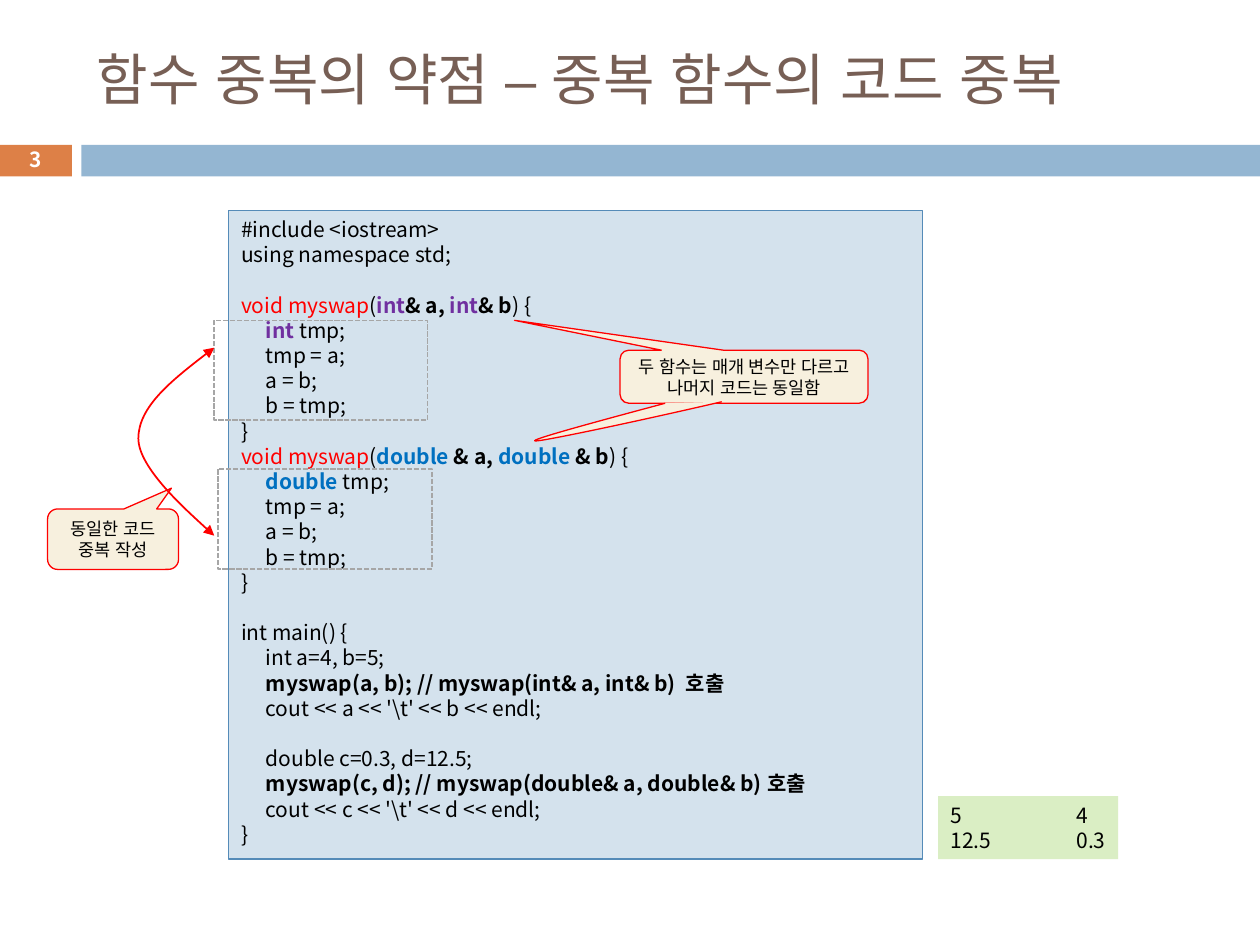
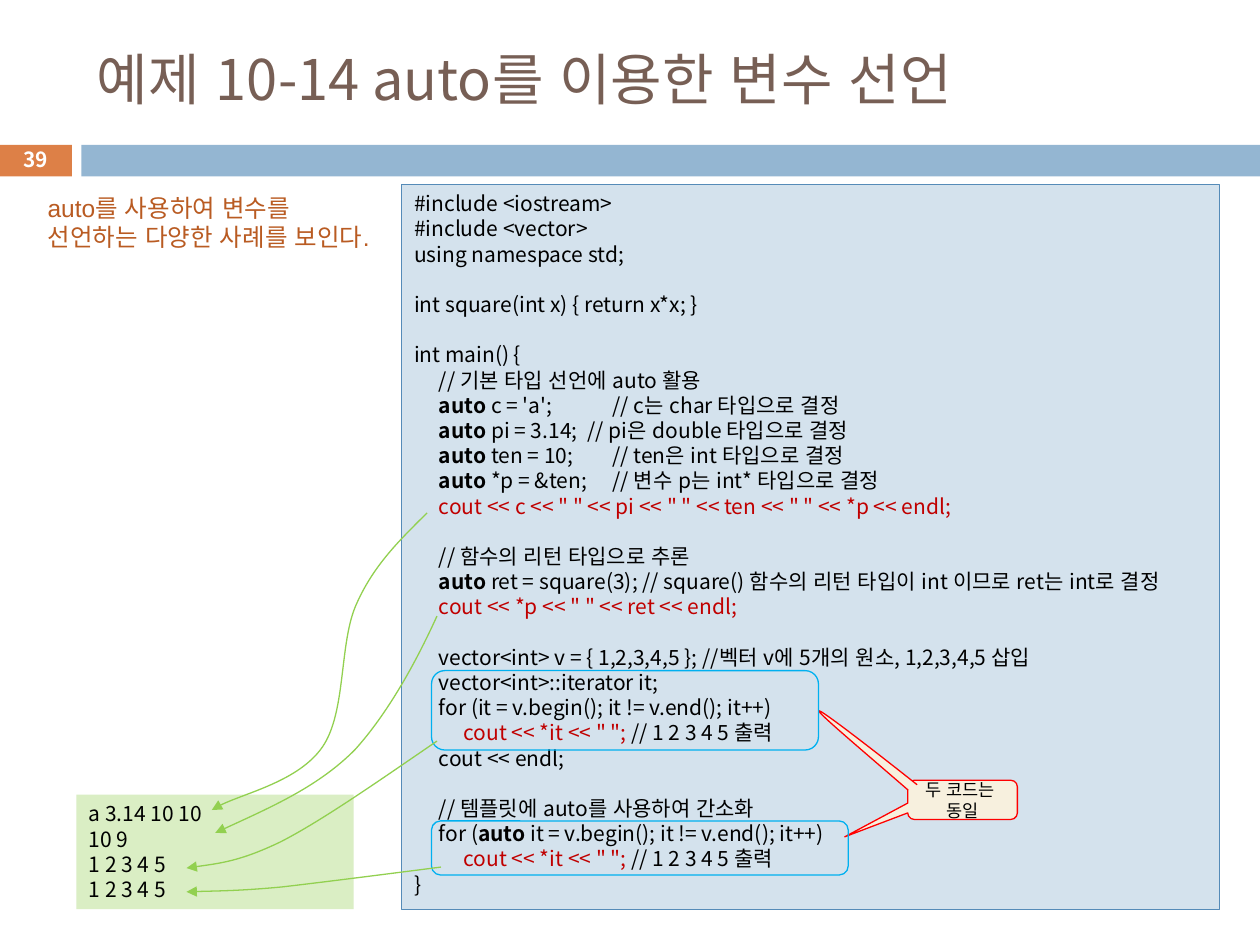
"""Build two lecture slides on C++ function overloading and auto."""
from lxml.etree import SubElement
from pptx import Presentation
from pptx.dml.color import RGBColor
from pptx.enum.dml import MSO_LINE
from pptx.enum.shapes import MSO_SHAPE
from pptx.enum.text import MSO_ANCHOR, MSO_AUTO_SIZE, PP_ALIGN
from pptx.oxml.ns import qn
from pptx.util import Cm, Pt

FONT, EAST_FONT = "Noto Sans CJK KR", "Arial"
LEADING = 1.2
BLACK, WHITE, RED, GREEN = "000000", "FFFFFF", "FF0000", "92D050"
ORANGE, BLUE, BROWN, RUST = "DD8047", "94B6D2", "775F55", "B95B22"
CODE_FILL, CODE_LINE, NOTE, RESULT = "D4E2ED", "558BB8", "F7F0DE", "DAEEC4"
GRAY, CYAN = "A6A6A6", "00B0F0"
CODE_TABS = [0.5 * n for n in range(1, 13)]
RESULT_TABS = [2.54]

NAME = ("void myswap", RED)
INT, DOUBLE = "7030A0", "0070C0"
SWAP_REST = ["\ttmp = a;", "\ta = b;", "\tb = tmp;", "}"]
SWAP_CODE = [
    "#include <iostream>",
    "using namespace std;",
    "",
    [NAME, "(", ("int", INT, True), ("& a, ", BLACK, True), ("int", INT, True),
     ("& b", BLACK, True), ") {"],
    ["\t", ("int ", INT, True), "tmp;"],
    *SWAP_REST,
    [NAME, "(", ("double ", DOUBLE, True), ("& a, ", BLACK, True),
     ("double", DOUBLE, True), (" & b", BLACK, True), ") {"],
    ["\t", ("double ", DOUBLE, True), "tmp;"],
    *SWAP_REST,
    "",
    "int main() {",
    "\tint a=4, b=5;",
    ["\t", ("myswap(a, b); // myswap(int& a, int& b)  호출", BLACK, True)],
    "\tcout << a << '\\t' << b << endl;",
    "",
    "\tdouble c=0.3, d=12.5;",
    ["\t", ("myswap(c, d); // myswap(double& a, double& b) 호출", BLACK, True)],
    "\tcout << c << '\\t' << d << endl;",
    "}",
]

AUTO = ("auto ", BLACK, True)
PRINT = "C00000"
PRINT_ITEM = ["\t\t", ('cout << *it << " "; ', PRINT), "// 1 2 3 4 5 출력"]
AUTO_CODE = [
    "#include <iostream>",
    "#include <vector>",
    "using namespace std;",
    "",
    "int square(int x) { return x*x; }",
    "",
    "int main() {",
    "\t// 기본 타입 선언에 auto 활용",
    ["\t", AUTO, "c = 'a'; \t\t\t// c는 char 타입으로 결정"],
    ["\t", AUTO, "pi = 3.14; \t// pi은 double 타입으로 결정"],
    ["\t", AUTO, "ten = 10; \t\t// ten은 int 타입으로 결정"],
    ["\t", AUTO, "*p = &ten; \t// 변수 p는 int* 타입으로 결정"],
    ["\t", ('cout << c << " " << pi << " " << ten << " " << *p << endl;', PRINT)],
    "",
    "\t// 함수의 리턴 타입으로 추론",
    ["\t", AUTO, "ret = square(3); // square() 함수의 리턴 타입이 int 이므로 ret는 int로 결정"],
    ["\t", ('cout << *p << " " << ret << endl;', PRINT)],
    "",
    "\tvector<int> v = { 1,2,3,4,5 }; //벡터 v에 5개의 원소, 1,2,3,4,5 삽입",
    "\tvector<int>::iterator it;",
    "\tfor (it = v.begin(); it != v.end(); it++)",
    PRINT_ITEM,
    "\tcout << endl;",
    "",
    "\t// 템플릿에 auto를 사용하여 간소화",
    ["\tfor (", ("auto", BLACK, True), " it = v.begin(); it != v.end(); it++)"],
    PRINT_ITEM,
    "}",
]

SLIDES = [
    dict(
        title="함수 중복의 약점 – 중복 함수의 코드 중복", number="3",
        code=((4.61, 4.24, 13.99, 13.08), SWAP_CODE),
        notes=[
            ((12.5, 7.06, 5, 1.07), (-0.925, -1.062),
             ["두 함수는 매개 변수만 다르고 나머지 코드는 동일함"]),
            ((0.96, 10.26, 2.64, 1.22), (0.446, -0.843), ["동일한 코드 중복 작성"]),
        ],
        pointer=[(13.41, 8.13), (11.99, 8.51), (10.59, 8.89), (10.8, 8.89),
                 (10.97, 8.89), (12.78, 8.51), (14.55, 8.1)],
        frames=[(4.32, 6.46, 4.3, 2.01), (4.39, 9.46, 4.32, 2.01)],
        frame_style=(MSO_SHAPE.RECTANGLE, GRAY, 1, MSO_LINE.SQUARE_DOT),
        result=((18.91, 16.05, 3.63, 1.27), ["5 \t4", "12.5\t0.3"]),
        arrow_style=(RED, 1, ("headEnd", "tailEnd")),
        arrows=[[(4.32, 7.01), (3.56, 7.59), (2.79, 8.2), (2.79, 8.84),
                 (2.79, 9.45), (4.32, 10.8), (4.32, 10.8)]],
    ),
    dict(
        title="예제 10-14 auto를 이용한 변수 선언", number="39",
        intro=((0.71, 3.76, 7.01, 1.45), "auto를 사용하여 변수를 선언하는 다양한 사례를 보인다."),
        code=((8.1, 3.72, 16.48, 14.62), AUTO_CODE),
        notes=[((18.3, 15.73, 2.21, 0.79), (-1.075, 0.944), ["두 코드는 ", "동일"])],
        pointer=[(18.31, 15.93), (17.4, 15.14), (16.46, 14.35), (16.51, 14.33),
                 (16.54, 14.3), (17.53, 15.06), (18.49, 15.82)],
        frames=[(8.7, 13.52, 7.8, 1.6), (8.7, 16.55, 8.4, 1.09)],
        frame_style=(MSO_SHAPE.ROUNDED_RECTANGLE, CYAN, 0.75, None),
        result=((1.54, 16.02, 5.59, 2.31),
                ["a 3.14 10 10", "10 9", "1 2 3 4 5", "1 2 3 4 5"]),
        arrow_style=(GREEN, 0.75, ("tailEnd",)),
        arrows=[
            [(8.61, 10.34), (8.08, 10.87), (7.54, 11.38), (7.19, 12.17), (6.83, 12.95),
             (6.99, 14.35), (6.5, 15.06), (6.02, 15.75), (4.67, 16.05), (4.27, 16.33)],
            [(8.81, 12.42), (8.36, 13.41), (7.8, 14.4), (7.16, 15.11), (6.43, 15.85),
             (5.38, 16.31), (4.34, 16.79)],
            [(8.81, 14.94), (7.67, 15.72), (6.5, 16.54), (5.66, 16.97), (4.83, 17.37),
             (4.29, 17.42), (3.76, 17.5)],
            [(8.89, 17.48), (7.72, 17.63), (6.55, 17.78), (5.69, 17.88), (4.83, 17.96),
             (4.29, 17.96), (3.76, 17.98)],
        ],
    ),
]


def rgb(color):
    """Turn a hex string into a colour."""
    return RGBColor.from_string(color)


def paint(sp, fill=None, line=None, width=0.75, dash=None):
    """Set the fill and outline of a shape and drop its shadow."""
    sp.shadow.inherit = False
    if fill:
        sp.fill.solid()
        sp.fill.fore_color.rgb = rgb(fill)
    else:
        sp.fill.background()
    if line:
        sp.line.color.rgb = rgb(line)
        sp.line.width = Pt(width)
        sp.line.dash_style = dash
    else:
        sp.line.fill.background()


def add_box(s, place, kind=MSO_SHAPE.RECTANGLE, **style):
    """Add a painted preset shape placed in centimetres."""
    sp = s.shapes.add_shape(kind, *map(Cm, place))
    paint(sp, **style)
    return sp


def write(sp, lines, size, color=BLACK, bold=False, align=PP_ALIGN.LEFT,
          anchor=MSO_ANCHOR.MIDDLE, font=FONT, tabs=()):
    """Write lines of runs; an empty line becomes space before the next."""
    tf = sp.text_frame
    tf.word_wrap = True
    tf.auto_size = MSO_AUTO_SIZE.NONE
    tf.vertical_anchor = anchor
    if align == PP_ALIGN.LEFT:
        tf.margin_right = 0
    leading, gap, p = Pt(size * LEADING), 0, None
    for line in lines:
        if not line:
            gap += leading
            continue
        p = tf.add_paragraph() if p else tf.paragraphs[0]
        p.alignment, p.line_spacing, p.space_before = align, leading, gap
        gap = 0
        if tabs:
            stops = SubElement(p._p.get_or_add_pPr(), qn("a:tabLst"))
            for pos in tabs:
                SubElement(stops, qn("a:tab"), pos=str(Cm(pos)), algn="l")
        for part in [line] if isinstance(line, str) else line:
            text, *look = (part,) if isinstance(part, str) else part
            r = p.add_run()
            r.text = text
            r.font.size, r.font.name = Pt(size), font
            r.font.color.rgb = rgb(look[0] if look else color)
            r.font.bold = look[1] if len(look) > 1 else bold
            SubElement(r._r.get_or_add_rPr(), qn("a:ea"), typeface=EAST_FONT)


def add_curve(s, points, ends=(), **style):
    """Draw a chain of cubic curves with optional arrowheads."""
    corners = [(Cm(x), Cm(y)) for x, y in points]
    builder = s.shapes.build_freeform(*corners[0])
    builder.add_line_segments(corners[1:], close=False)
    sp = builder.convert_to_shape()
    segments = list(sp._element.iter(qn("a:lnTo")))
    outline = segments[0].getparent()
    for i in range(0, len(segments), 3):
        cubic = SubElement(outline, qn("a:cubicBezTo"))
        for segment in segments[i:i + 3]:
            cubic.append(segment[0])
            outline.remove(segment)
    paint(sp, **style)
    for end in ends:
        SubElement(sp.line._get_or_add_ln(), qn("a:" + end), type="triangle")


def add_frame(prs, title, number):
    """Add a slide with its bands, number and title."""
    s = prs.slides.add_slide(prs.slide_layouts[5])
    add_box(s, (0, 2.92, 1.45, 0.64), fill=ORANGE)
    add_box(s, (1.64, 2.92, 23.76, 0.64), fill=BLUE)
    sp = s.shapes.title
    sp.left, sp.top, sp.width, sp.height = map(Cm, (1.7, 0.64, 22.66, 1.88))
    write(sp, [title], 32, BROWN)
    sp = s.shapes.add_textbox(*map(Cm, (0, 2.87, 1.45, 0.69)))
    write(sp, [number], 11.9, WHITE, True, PP_ALIGN.CENTER)
    return s


def build(prs, data):
    """Lay out one slide of code, notes, frames, result and arrows."""
    s = add_frame(prs, data["title"], data["number"])
    place, lines = data["code"]
    sp = add_box(s, place, fill=CODE_FILL, line=CODE_LINE)
    write(sp, lines, 12, anchor=MSO_ANCHOR.TOP, tabs=CODE_TABS)
    if "intro" in data:
        place, text = data["intro"]
        sp = s.shapes.add_textbox(*map(Cm, place))
        write(sp, [text], 14, RUST, anchor=MSO_ANCHOR.TOP, font="Arial")
    for place, tip, lines in data["notes"]:
        sp = add_box(s, place, MSO_SHAPE.ROUNDED_RECTANGULAR_CALLOUT, fill=NOTE, line=RED)
        sp.adjustments[0], sp.adjustments[1] = tip
        write(sp, lines, 10, align=PP_ALIGN.CENTER)
    add_curve(s, data["pointer"], fill=NOTE, line=RED)
    kind, color, width, dash = data["frame_style"]
    for place in data["frames"]:
        add_box(s, place, kind, line=color, width=width, dash=dash)
    place, lines = data["result"]
    write(add_box(s, place, fill=RESULT), lines, 12, anchor=MSO_ANCHOR.TOP, tabs=RESULT_TABS)
    color, width, ends = data["arrow_style"]
    for points in data["arrows"]:
        add_curve(s, points, ends, line=color, width=width)


def main():
    """Build and save the slides."""
    prs = Presentation()
    prs.slide_width, prs.slide_height = Cm(25.4), Cm(19.05)
    for data in SLIDES:
        build(prs, data)
    prs.save("out.pptx")


if __name__ == "__main__":
    main()
